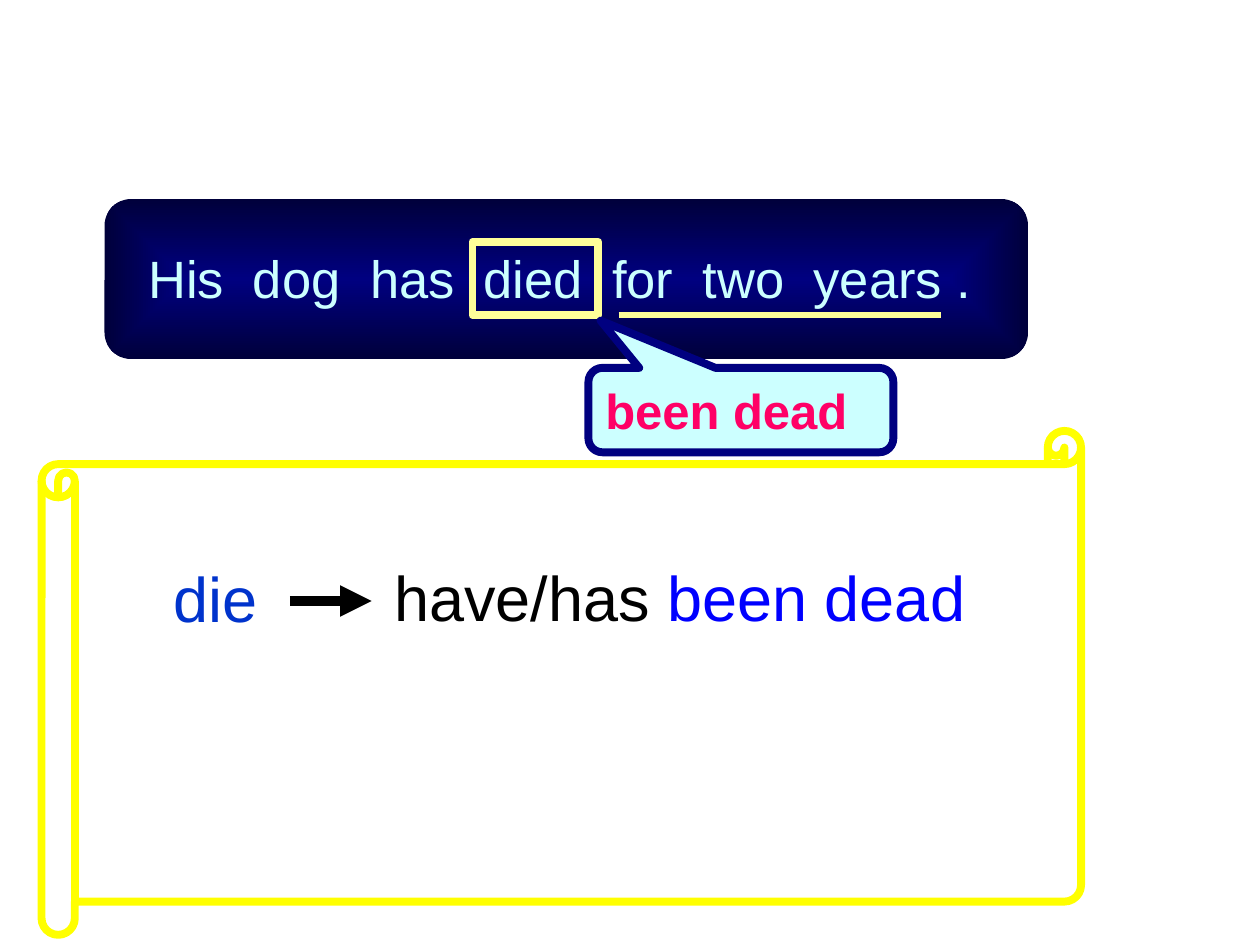
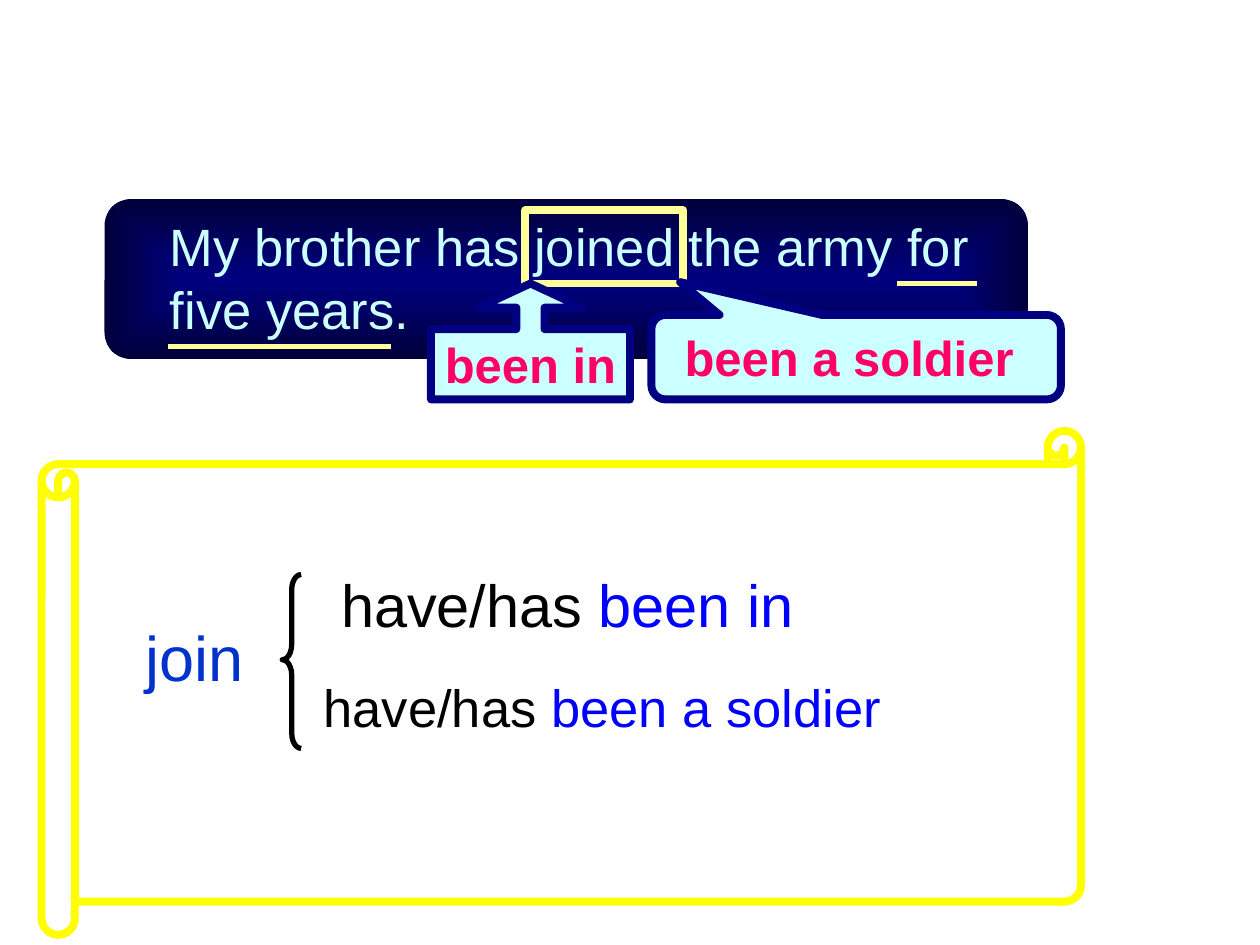
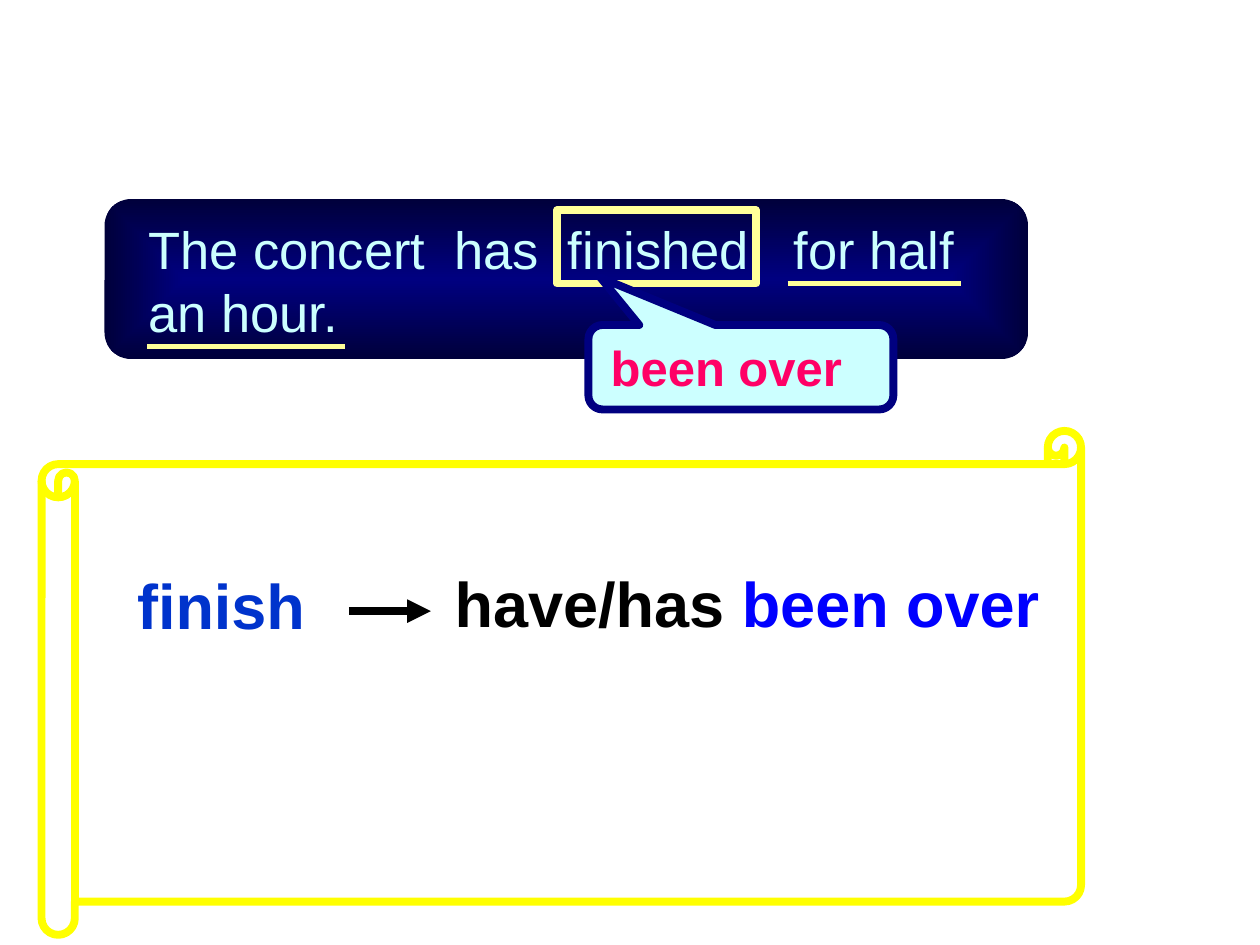
from dataclasses import dataclass

from lxml import etree
from pptx import Presentation
from pptx.dml.color import RGBColor
from pptx.enum import shapes, text
from pptx.oxml.ns import qn
from pptx.util import Inches, Pt

KIND = shapes.MSO_SHAPE


# Colours, type and line sizes
@dataclass(frozen=True)
class Theme:
    font: str = "Arial"
    navy: str = "000080"
    night: str = "00003B"
    ice: str = "CCFFFF"
    cream: str = "FFFF99"
    pink: str = "FF0066"
    verb: str = "0033CC"
    blue: str = "0000FF"
    black: str = "000000"
    yellow: str = "FFFF00"
    quote: int = 30
    fix: int = 28
    rule: int = 36
    thick: float = 4.5
    thin: float = 3


T = Theme()
BAND = (0.83, 1.58, 7.33, 1.27)
SCROLL = (0.33, 3.42, 8.25, 4)


def rgb(code):
    return RGBColor.from_string(code)


def child(node, tag, **attrs):
    return etree.SubElement(node, qn(tag), attrs)


def shift(box, x, y):
    return box[0] + x, box[1] + y


# Basic parts
def shape(slide, kind, box, fill=None, line=None, width=T.thick, adj=()):
    item = slide.shapes.add_shape(kind, *map(Inches, box))
    item.shadow.inherit = False
    for i, value in enumerate(adj):
        item.adjustments[i] = value
    if fill:
        item.fill.solid()
        item.fill.fore_color.rgb = rgb(fill)
    else:
        item.fill.background()
    if line:
        item.line.color.rgb = rgb(line)
        item.line.width = Pt(width)
    else:
        item.line.fill.background()
    return item


def stroke(slide, start, length, color, width, arrow=False):
    x, y = start
    line = slide.shapes.add_connector(
        shapes.MSO_CONNECTOR.STRAIGHT,
        Inches(x), Inches(y), Inches(x + length), Inches(y))
    line.line.color.rgb = rgb(color)
    line.line.width = Pt(width)
    if arrow:
        child(line.line._get_or_add_ln(), "a:tailEnd", type="triangle")
    child(line._element.spPr, "a:effectLst")


def write(item, runs, size, bold=False, tabs=(), right=0.1, wrap=True,
          align=text.PP_ALIGN.LEFT, anchor=text.MSO_ANCHOR.TOP):
    frame = item.text_frame
    look = dict(word_wrap=wrap, vertical_anchor=anchor,
                margin_left=Inches(0.1), margin_right=Inches(right),
                margin_top=Inches(0.05), margin_bottom=Inches(0.05))
    for key, value in look.items():
        setattr(frame, key, value)
    para = frame.paragraphs[0]
    para.alignment = align
    if tabs:
        stops = child(para._p.get_or_add_pPr(), "a:tabLst")
        for stop in tabs:
            child(stops, "a:tab", pos=str(Inches(stop)), algn="l")
    for words, color in runs:
        run = para.add_run()
        run.text = words
        for key, value in dict(name=T.font, size=Pt(size), bold=bold).items():
            setattr(run.font, key, value)
        run.font.color.rgb = rgb(color)


def label(slide, spot, width, height, runs, size, **look):
    item = slide.shapes.add_textbox(*map(Inches, (*spot, width, height)))
    write(item, runs, size, **look)


# Dark band with the sentence, its framed verb and underlined time phrase
def band(slide, box, quote, spot, verb, marks, tabs=()):
    panel = shape(slide, KIND.ROUNDED_RECTANGLE, box, T.navy, adj=(0.167,))
    panel.fill.gradient()
    for stop, color in zip(panel.fill.gradient_stops, (T.navy, T.night)):
        stop.color.rgb = rgb(color)
    grad = panel._element.spPr.find(qn("a:gradFill"))
    grad.remove(grad.find(qn("a:lin")))
    focus = child(grad, "a:path", path="rect")
    child(focus, "a:fillToRect", l="50000", t="50000", r="50000", b="50000")

    label(slide, shift(box, *spot), 6.83, 1.1, [(quote, T.ice)], T.quote,
          tabs=tabs)
    x, y, width = verb
    shape(slide, KIND.RECTANGLE, (*shift(box, x, y), width, 0.58),
          line=T.cream)
    for x, y, length in marks:
        stroke(slide, shift(box, x, y), length, T.cream, T.thin)


# Callout that corrects the verb
def fix(slide, box, words, place, adj, kind=KIND.ROUNDED_RECTANGULAR_CALLOUT,
        right=0.33, wrap=True):
    x, y, width, height = place
    item = shape(slide, kind, (*shift(box, x, y), width, height),
                 T.ice, T.navy, adj=adj)
    write(item, [(words, T.pink)], T.fix, bold=True, right=right, wrap=wrap,
          align=text.PP_ALIGN.CENTER, anchor=text.MSO_ANCHOR.MIDDLE)


# Scroll with the verb and its lasting forms
def scroll(slide, box, verb, spot, forms, bold=False, arrow=None, brace=None):
    label(slide, shift(box, *spot), 2.09, 0.7, [(verb, T.verb)], T.rule,
          bold=bold)
    for words, x, y, size in forms:
        label(slide, shift(box, x, y), 5.28, 0.7,
              [("have/has ", T.black), (words, T.blue)], size, bold=bold)
    if arrow:
        x, y, width = arrow
        stroke(slide, shift(box, x, y), 0.65, T.black, width, arrow=True)
    if brace:
        shape(slide, KIND.LEFT_BRACE, (*shift(box, *brace), 0.15, 1.38),
              line=T.black, width=T.thin, adj=(0.8, 0.49))
    shape(slide, KIND.HORIZONTAL_SCROLL, box, line=T.yellow, adj=(0.066,))


def die(slide):
    band(slide, BAND, "His\tdog\thas\tdied\tfor\ttwo\tyears .", (0.25, 0.32),
         (2.92, 0.34, 1), [(4.08, 0.92, 2.56)],
         tabs=(0.83, 1.76, 2.66, 3.68, 4.4, 5.28))
    fix(slide, BAND, "been dead", (3.84, 1.34, 2.42, 0.67), (-0.46, -1.06))
    scroll(slide, SCROLL, "die", (0.95, 0.97),
           [("been dead", 2.7, 0.96, T.rule)], arrow=(1.97, 1.35, 6))


def join(slide):
    band(slide, BAND, "My brother has joined the army for five years.",
         (0.42, 0.07), (3.34, 0.09, 1.25),
         [(6.29, 0.67, 0.63), (0.5, 1.17, 1.77)])
    fix(slide, BAND, "been in", (2.59, 0.67, 1.58, 0.92),
        (0.243, 0.447, 0.208, 0.606), KIND.UP_ARROW_CALLOUT, 0.1, False)
    fix(slide, BAND, "been a soldier", (4.34, 0.92, 3.25, 0.67),
        (-0.43, -0.89), right=0.21)
    scroll(slide, SCROLL, "join", (0.73, 1.44),
           [("been in", 2.28, 1.04, 34), ("been a soldier", 2.14, 1.89, 30)],
           brace=(1.91, 1.14))


def finish(slide):
    band(slide, BAND, "The concert\thas\tfinished\tfor half an hour.",
         (0.25, 0.09), (3.59, 0.09, 1.58),
         [(5.42, 0.67, 1.38), (0.34, 1.17, 1.57)], tabs=(2.43, 3.33, 5.12))
    fix(slide, BAND, "been over", (3.84, 1, 2.42, 0.67), (-0.46, -1.06))
    scroll(slide, SCROLL, "finish", (0.66, 1.03),
           [("been over", 3.18, 1.01, T.rule)], bold=True,
           arrow=(2.44, 1.43, T.thick))


def main():
    deck = Presentation()
    deck.slide_width, deck.slide_height = Inches(10), Inches(7.5)
    for build in (die, join, finish):
        build(deck.slides.add_slide(deck.slide_layouts[6]))
    deck.save("out.pptx")


if __name__ == "__main__":
    main()
